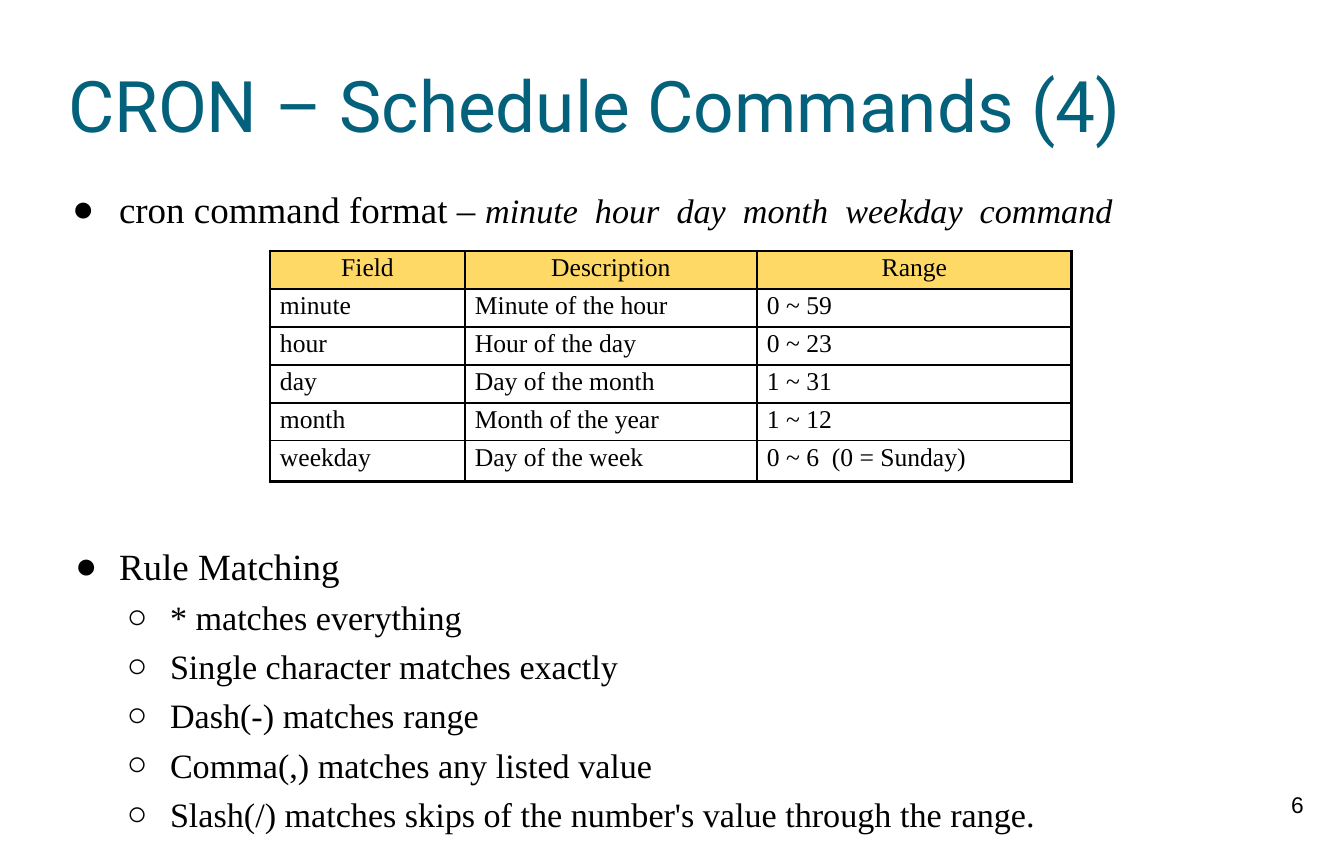
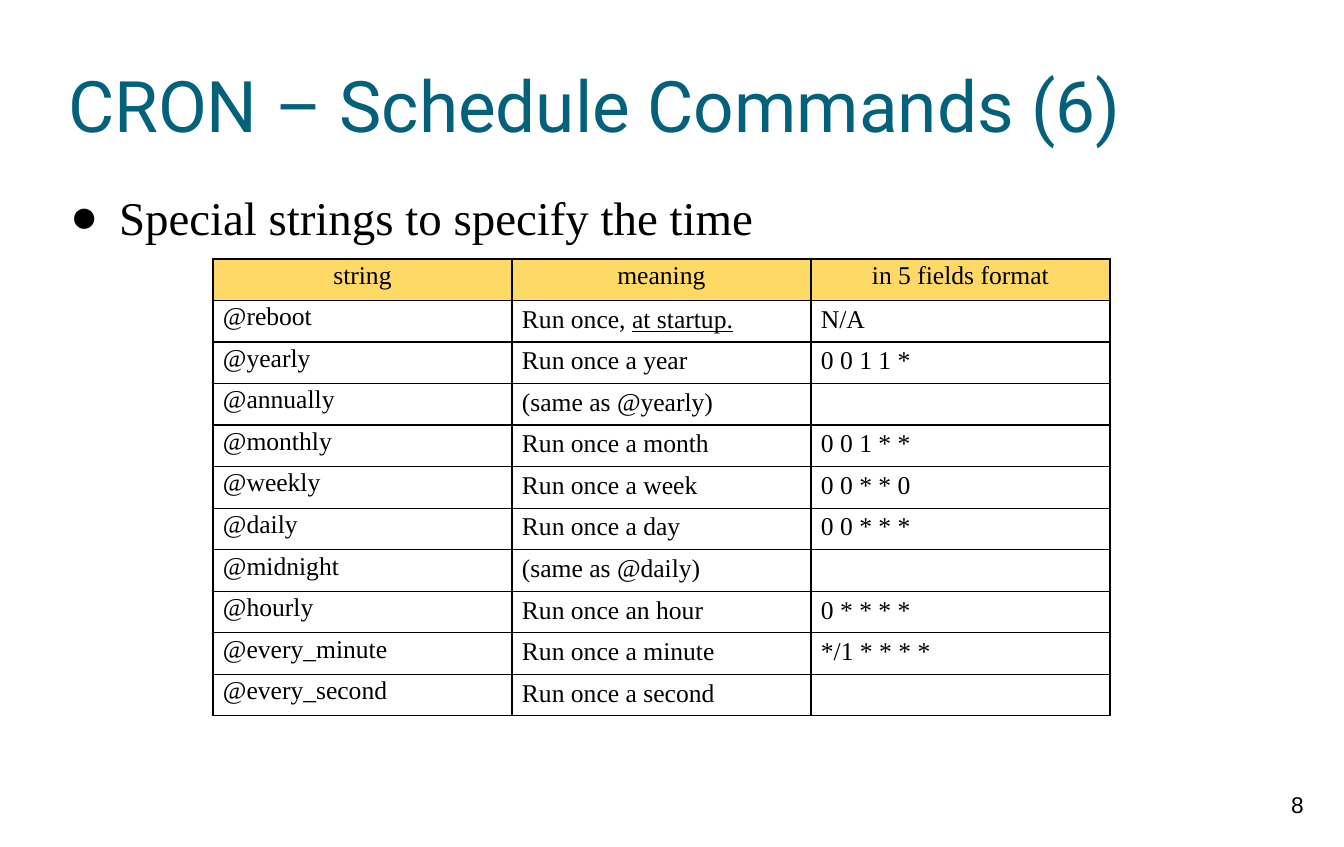
from dataclasses import dataclass

from lxml.etree import SubElement
from pptx import Presentation
from pptx.dml.color import RGBColor
from pptx.enum.text import MSO_ANCHOR as Anchor, PP_ALIGN as Align
from pptx.oxml.ns import qn
from pptx.util import Emu, Pt


@dataclass(frozen=True)
class Theme:
    ink: str = "000000"
    title: str = "04617B"
    header: str = "FFD966"
    title_font: str = "Roboto"
    body_font: str = "Times New Roman"
    number_font: str = "Arial"
    title_size: int = 50
    lead_size: int = 33
    point_size: int = 26
    detail_size: int = 24
    cell_size: int = 18
    number_size: int = 16
    thick: float = 2.25
    thin: float = 1


THEME = Theme()
SLIDE_WIDTH, SLIDE_HEIGHT = 1344, 847

CRON_FIELDS = [
    ("Field", "Description", "Range"),
    ("minute", "Minute of the hour", "0 ~ 59"),
    ("hour", "Hour of the day", "0 ~ 23"),
    ("day", "Day of the month", "1 ~ 31"),
    ("month", "Month of the year", "1 ~ 12"),
    ("weekday", "Day of the week", "0 ~ 6  (0 = Sunday)"),
]
MATCHING_RULES = [
    "* matches everything",
    "Single character matches exactly",
    "Dash(-) matches range",
    "Comma(,) matches any listed value",
    "Slash(/) matches skips of the number's value through the range.",
]
SPECIAL_STRINGS = [
    ("string", "meaning", "in 5 fields format"),
    ("@reboot", ("Run once, ", "at startup."), "N/A"),
    ("@yearly", "Run once a year", "0 0 1 1 *"),
    ("@annually", "(same as @yearly)", ""),
    ("@monthly", "Run once a month", "0 0 1 * *"),
    ("@weekly", "Run once a week", "0 0 * * 0"),
    ("@daily", "Run once a day", "0 0 * * *"),
    ("@midnight", "(same as @daily)", ""),
    ("@hourly", "Run once an hour", "0 * * * *"),
    ("@every_minute", "Run once a minute", "*/1 * * * *"),
    ("@every_second", "Run once a second", ""),
]


def px(length):
    return Emu(round(length * 914400 / 102.4))


def add_run(paragraph, text, size, font=THEME.body_font, color=THEME.ink,
            italic=False, underline=False):
    run = paragraph.add_run()
    run.text = text
    run.font.name = font
    run.font.size = Pt(size)
    run.font.color.rgb = RGBColor.from_string(color)
    run.font.italic = italic
    run.font.underline = underline


def add_text_frame(slide, left, top, width, height, inset=0):
    frame = slide.shapes.add_textbox(px(left), px(top), px(width), px(height)).text_frame
    frame.word_wrap = True
    frame.margin_left = frame.margin_right = px(inset)
    frame.margin_top = frame.margin_bottom = px(inset)
    return frame


def add_slide(deck, title, number):
    slide = deck.slides.add_slide(deck.slide_layouts[6])
    heading = add_text_frame(slide, 68, 34, 1209, 141)
    heading.vertical_anchor = Anchor.MIDDLE
    add_run(heading.paragraphs[0], title, THEME.title_size, THEME.title_font, THEME.title)
    footer = add_text_frame(slide, 1257, 781, 81, 65, inset=10)
    footer.paragraphs[0].alignment = Align.CENTER
    add_run(footer.paragraphs[0], str(number), THEME.number_size, THEME.number_font)
    return slide


def add_bullet(frame, text, size, hang, level=0):
    first = not frame.paragraphs[0].runs
    paragraph = frame.paragraphs[0] if first else frame.add_paragraph()
    paragraph.level = level
    paragraph.line_spacing = 1.15
    paragraph.space_before = Pt(0 if first else 1.5)
    props = paragraph._p.get_or_add_pPr()
    props.set("marL", str(px(51 * (level + 1))))
    props.set("indent", str(-px(hang)))
    color = SubElement(props, qn("a:buClr"))
    SubElement(color, qn("a:srgbClr"), val=THEME.ink)
    SubElement(props, qn("a:buFont"), typeface=THEME.body_font)
    SubElement(props, qn("a:buChar"), char="●○"[level])
    add_run(paragraph, text, size)
    return paragraph


def set_borders(cell, **widths):
    props = cell._tc.get_or_add_tcPr()
    for position, side in enumerate("LRTB"):
        line = props.makeelement(qn(f"a:ln{side}"), {"w": str(Pt(widths[side]))})
        fill = SubElement(line, qn("a:solidFill"))
        SubElement(fill, qn("a:srgbClr"), val=THEME.ink)
        props.insert(position, line)


def fill_cell(cell, content, header, spacing):
    cell.margin_left = cell.margin_right = px(10)
    cell.margin_top = cell.margin_bottom = px(5)
    if header:
        cell.fill.solid()
        cell.fill.fore_color.rgb = RGBColor.from_string(THEME.header)
    else:
        cell.fill.background()
    paragraph = cell.text_frame.paragraphs[0]
    paragraph.alignment = Align.CENTER if header else Align.LEFT
    paragraph.line_spacing = spacing
    paragraph.font.size = Pt(THEME.cell_size)
    plain, *underlined = (content,) if isinstance(content, str) else content
    if plain:
        add_run(paragraph, plain, THEME.cell_size)
    for text in underlined:
        add_run(paragraph, text, THEME.cell_size, underline=True)


def add_grid(slide, rows, left, top, widths, height, last_extra=0,
             detail_spacing=0.9, bottom=THEME.thick):
    last_row, last_column = len(rows) - 1, len(widths) - 1
    table = slide.shapes.add_table(len(rows), len(widths), px(left), px(top),
                                   px(sum(widths)), px(height)).table
    table.first_row = table.horz_banding = False
    for column, width in zip(table.columns, widths):
        column.width = px(width)
    for row in table.rows:
        row.height = px(height - last_extra) // len(rows)
    table.rows[last_row].height += px(last_extra)
    for r, row in enumerate(rows):
        for c, content in enumerate(row):
            cell = table.cell(r, c)
            fill_cell(cell, content, r == 0, detail_spacing if r and c else 0.9)
            set_borders(cell,
                        L=THEME.thin if c else THEME.thick,
                        R=THEME.thick if c == last_column else THEME.thin,
                        T=THEME.thin if r else THEME.thick,
                        B=bottom if r == last_row else THEME.thin)


def build_format_slide(deck):
    slide = add_slide(deck, "CRON – Schedule Commands (4)", 6)
    command = add_text_frame(slide, 68, 180, 1212, 55)
    syntax = add_bullet(command, "cron command format – ", THEME.point_size, 47)
    add_run(syntax, "minute  hour  day  month  weekday  command",
            THEME.detail_size, italic=True)
    rules = add_text_frame(slide, 68, 537, 1212, 290)
    add_bullet(rules, "Rule Matching", THEME.point_size, 44)
    for rule in MATCHING_RULES:
        add_bullet(rules, rule, THEME.detail_size, 43, level=1)
    add_grid(slide, CRON_FIELDS, 270, 251, (195, 292, 315), 231, last_extra=3)


def build_strings_slide(deck):
    slide = add_slide(deck, "CRON – Schedule Commands (6)", 8)
    lead = add_text_frame(slide, 68, 180, 1212, 65)
    add_bullet(lead, "Special strings to specify the time", THEME.lead_size, 49)
    add_grid(slide, SPECIAL_STRINGS, 213, 259, (299, 299, 299), 457,
             detail_spacing=1.0, bottom=THEME.thin)


def main():
    deck = Presentation()
    deck.slide_width, deck.slide_height = px(SLIDE_WIDTH), px(SLIDE_HEIGHT)
    build_format_slide(deck)
    build_strings_slide(deck)
    deck.save("out.pptx")


if __name__ == "__main__":
    main()
